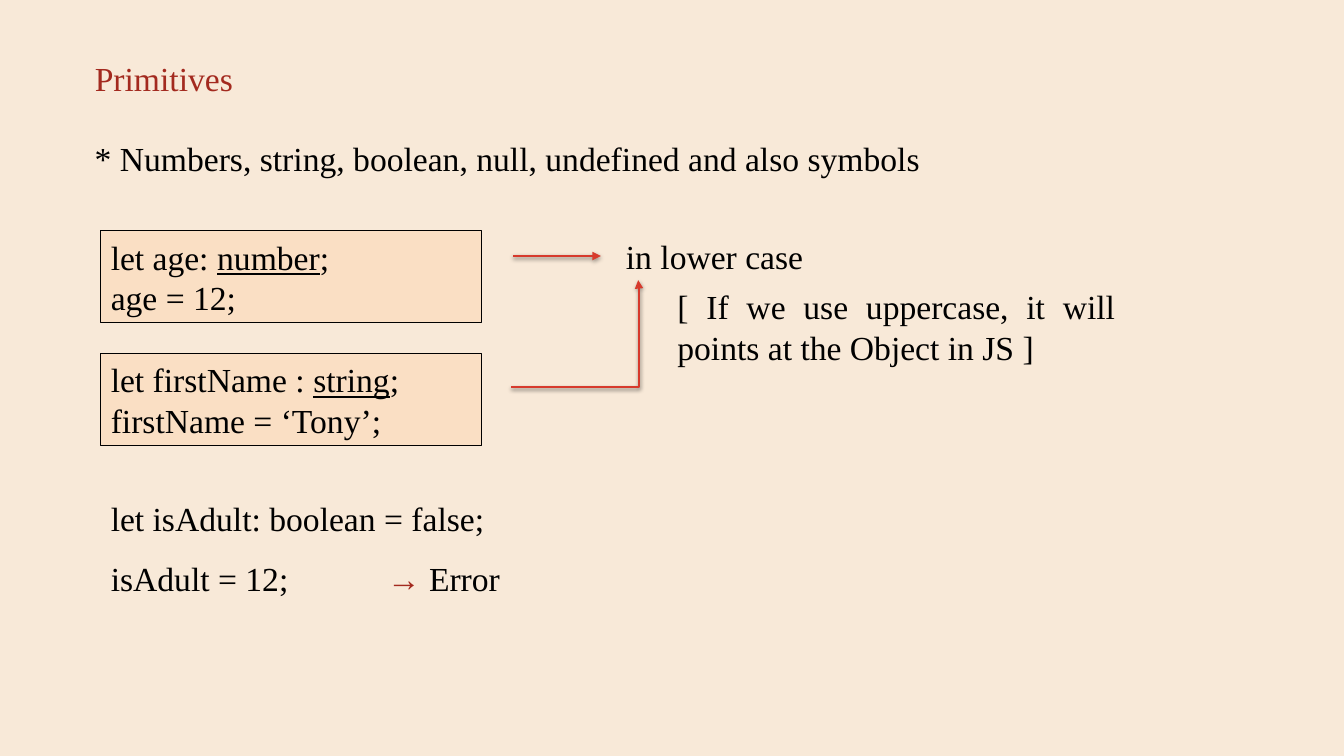
from lxml import etree
from pptx import Presentation
from pptx.dml.color import RGBColor
from pptx.enum.shapes import MSO_CONNECTOR as Connector, MSO_SHAPE as Shape
from pptx.enum.text import MSO_ANCHOR as Anchor, MSO_AUTO_SIZE as AutoSize, PP_ALIGN as Align
from pptx.oxml import parse_xml
from pptx.oxml.ns import nsdecls, qn
from pptx.util import Inches, Pt

CREAM = RGBColor(0xF8, 0xE9, 0xD8)
PEACH = RGBColor(0xFA, 0xDF, 0xC4)
BRICK = RGBColor(0xA3, 0x2A, 0x1F)
RED = RGBColor(0xD7, 0x3A, 0x2C)
BLACK = RGBColor(0, 0, 0)
FONT = "Times New Roman"

TITLE = "Primitives"
TYPES = "* Numbers, string, boolean, null, undefined and also symbols"
DECLARATIONS = [
    (("let age: ", "number", ";"), "age = 12;"),
    (("let firstName : ", "string", ";"), "firstName = ‘Tony’;"),
]
CASE_RULE = "in lower case"
CASE_REASON = "[ If we use uppercase, it will points at the Object in JS ]"
BOOLEAN_LINE = "let isAdult: boolean = false;"
ERROR_LINE = ("isAdult = 12;\t", "→", " Error")

CODE_LEFT, CODE_TOP, CODE_STEP = 1, 2.29, 1.22
CODE_WIDTH, CODE_HEIGHT = 3.78, 0.91
ERROR_TAB = 2.74
ARROWS = [
    (Connector.STRAIGHT, (5.09, 2.54), (5.96, 2.54)),
    (Connector.ELBOW, (5.07, 3.84), (6.33, 2.78)),
]
ELBOW_BEND = 100600


def style(paragraph, align=Align.LEFT, color=BLACK):
    paragraph.alignment = align
    paragraph.font.name = FONT
    paragraph.font.size = Pt(24)
    paragraph.font.color.rgb = color


def add_text(text, left, top, width, height, align=Align.LEFT):
    box = slide.shapes.add_textbox(Inches(left), Inches(top), Inches(width), Inches(height))
    box.text_frame.word_wrap = True
    paragraph = box.text_frame.paragraphs[0]
    paragraph.text = text
    style(paragraph, align)
    return box.text_frame


def add_declaration(declaration, assignment, top):
    code = slide.shapes.add_shape(
        Shape.RECTANGLE, Inches(CODE_LEFT), Inches(top), Inches(CODE_WIDTH), Inches(CODE_HEIGHT))
    code.shadow.inherit = False
    code.fill.solid()
    code.fill.fore_color.rgb = PEACH
    code.line.color.rgb = BLACK
    code.line.width = Pt(0.75)
    frame = code.text_frame
    frame.word_wrap = True
    first = frame.paragraphs[0]
    for part in declaration:
        first.add_run().text = part
    first.runs[1].font.underline = True
    second = frame.add_paragraph()
    second.text = assignment
    for paragraph in (first, second):
        style(paragraph)


def add_arrow(kind, start, end):
    arrow = slide.shapes.add_connector(kind, *map(Inches, start + end))
    arrow.line.color.rgb = RED
    arrow.line.width = Pt(2)
    etree.SubElement(arrow.line._get_or_add_ln(), qn("a:tailEnd"), type="triangle")
    properties = arrow._element.spPr
    properties.append(parse_xml(
        f'<a:effectLst {nsdecls("a")}>'
        f'<a:outerShdw blurRad="{Pt(3.1)}" dist="{Pt(1.6)}" dir="5400000" rotWithShape="0">'
        '<a:srgbClr val="000000"><a:alpha val="38000"/></a:srgbClr>'
        '</a:outerShdw></a:effectLst>'))
    if kind == Connector.ELBOW:
        adjustments = properties.find(qn("a:prstGeom")).get_or_add_avLst()
        etree.SubElement(adjustments, qn("a:gd"), name="adj1", fmla=f"val {ELBOW_BEND}")


prs = Presentation()
prs.slide_width, prs.slide_height = Inches(13.33), Inches(7.5)
slide = prs.slides.add_slide(prs.slide_layouts[5])
slide.background.fill.solid()
slide.background.fill.fore_color.rgb = CREAM

title = slide.shapes.title
title.left, title.top, title.width, title.height = map(Inches, (0.84, 0.52, 8.82, 0.5))
title.text_frame.text = TITLE
title.text_frame.vertical_anchor = Anchor.TOP
title.text_frame.auto_size = AutoSize.NONE
style(title.text_frame.paragraphs[0], Align.JUSTIFY, BRICK)

add_text(TYPES, 0.84, 1.32, 8.82, 0.5, Align.JUSTIFY)
for row, (declaration, assignment) in enumerate(DECLARATIONS):
    add_declaration(declaration, assignment, CODE_TOP + row * CODE_STEP)
add_text(CASE_REASON, 6.62, 2.79, 4.54, 0.91, Align.JUSTIFY)
add_text(CASE_RULE, 6.11, 2.29, 2.2, 0.5)
for arrow in ARROWS:
    add_arrow(*arrow)

boolean_code = add_text(BOOLEAN_LINE, 1, 4.69, 4.41, 1.24)
error = boolean_code.add_paragraph()
for part in ERROR_LINE:
    error.add_run().text = part
style(error)
error.runs[1].font.color.rgb = BRICK
for paragraph in boolean_code.paragraphs:
    paragraph.line_spacing = 1.5
error.space_after = Pt(12)
tabs = parse_xml(
    f'<a:tabLst {nsdecls("a")}><a:tab pos="{Inches(ERROR_TAB)}" algn="l"/></a:tabLst>')
error.font._element.addprevious(tabs)

prs.save("out.pptx")
